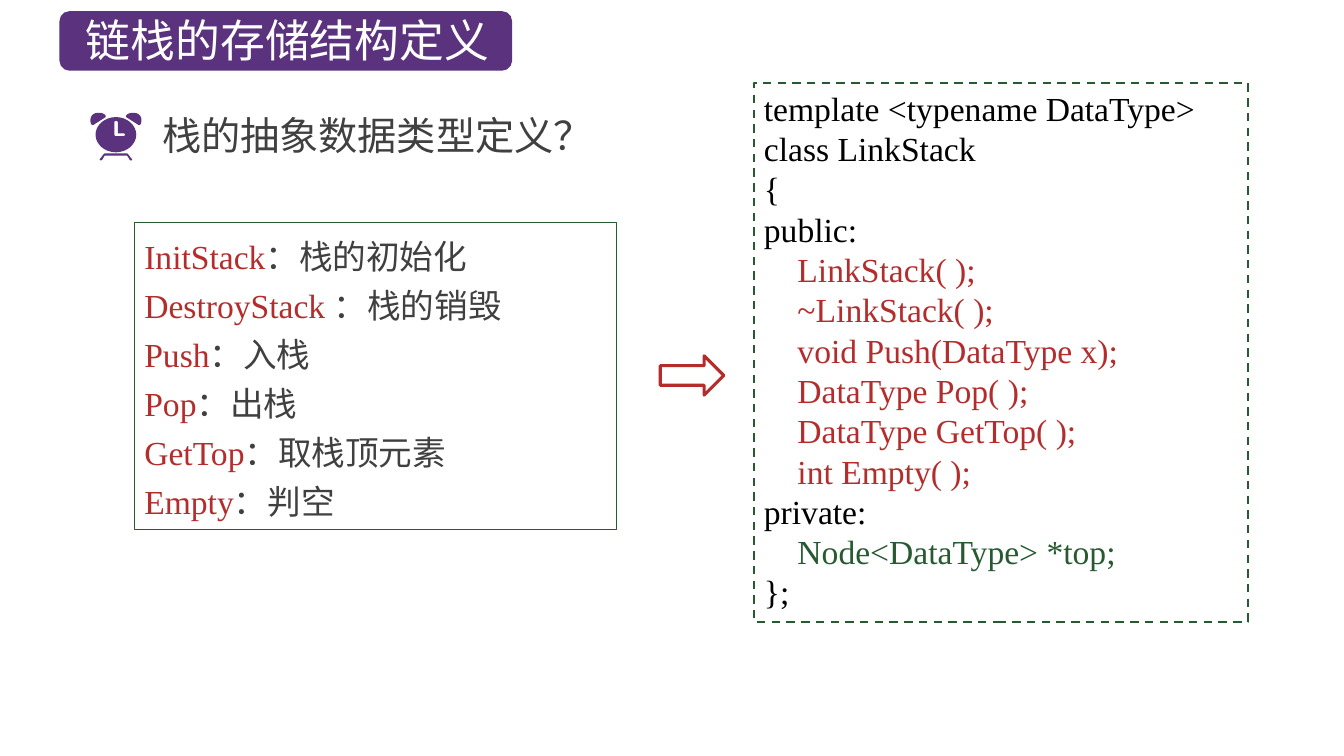
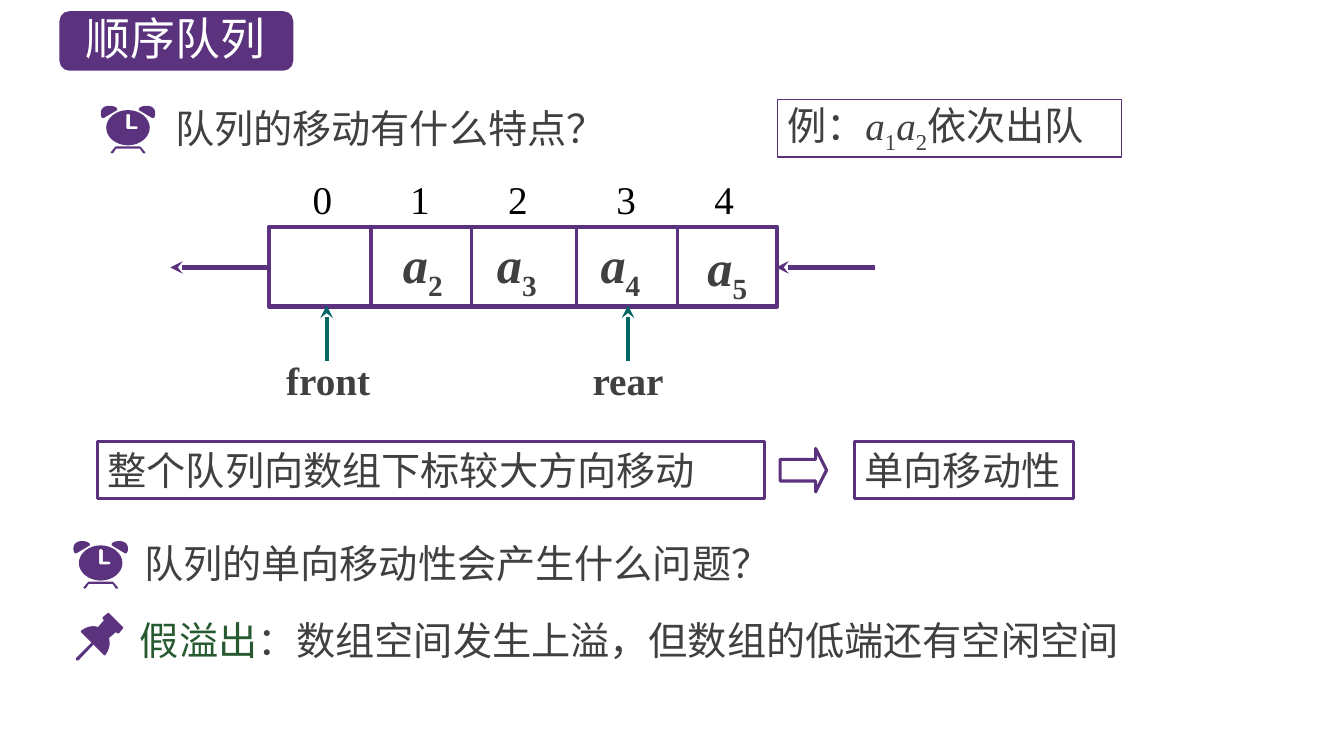
from dataclasses import dataclass

from lxml import etree
from pptx import Presentation
from pptx.dml.color import RGBColor
from pptx.enum.dml import MSO_LINE
from pptx.enum.shapes import MSO_CONNECTOR, MSO_SHAPE
from pptx.enum.text import MSO_ANCHOR, PP_ALIGN
from pptx.oxml.ns import qn
from pptx.util import Pt


@dataclass(frozen=True)
class Theme:
    purple = RGBColor(0x5A, 0x32, 0x7D)
    green = RGBColor(0x28, 0x5A, 0x32)
    teal = RGBColor(0x00, 0x66, 0x66)
    red = RGBColor(0xB4, 0x2D, 0x2D)
    grey = RGBColor(0x40, 0x40, 0x40)
    black = RGBColor(0, 0, 0)
    white = RGBColor(255, 255, 255)
    cjk = "Noto Sans CJK SC"
    serif = "Times New Roman"
    title = Pt(32)
    body = Pt(28)
    code = Pt(24)
    element = Pt(36)


theme = Theme()

# Text formats
title_text = {"size": theme.title, "name": theme.cjk, "color": theme.white}
body_text = {"size": theme.body, "name": theme.cjk, "color": theme.grey}
term_text = {**body_text, "color": theme.green}
code_text = {"size": theme.code, "name": theme.serif, "color": theme.black}
code_red = {**code_text, "color": theme.red}
code_green = {**code_text, "color": theme.green}
code_grey = {**code_text, "color": theme.grey}
index_text = {**code_text, "size": theme.body}
example_text = {**body_text, "name": theme.serif}
example_italic = {**example_text, "italic": True}
example_sub = {**example_text, "baseline": "-25000"}
pointer_text = {**example_text, "bold": True}
element_sub = {**pointer_text, "size": theme.element, "baseline": "-25000"}
element_text = {**pointer_text, "size": theme.element, "italic": True}

# Icon outlines on a 100 x 100 grid: pairs are corners, sixes are Bézier curves
left_bell = [(16, 0), (6, 0, 0, 6, 0, 15), (0, 19, 0, 23, 3, 25.5), (5, 26),
             (30, 9), (30, 6), (28, 2, 22, 0, 16, 0)]
right_bell = [tuple(100 - v if i % 2 == 0 else v for i, v in enumerate(step))
              for step in left_bell]
feet = [(82, 98), (74, 87), (72, 85), (28, 85), (26, 87), (18, 98), (20, 100),
        (23, 99), (28, 90), (72, 90), (78, 100), (81, 100)]
face = [(50, 9), (28, 9, 10, 26, 10, 46), (10, 66, 28, 83, 50, 83),
        (72, 83, 90, 66, 90, 46), (90, 26, 72, 9, 50, 9)]
hands = [(64, 49), (50, 49), (48, 49, 47, 47, 47, 46), (47, 21),
         (47, 18, 48, 17, 50, 17), (52, 17, 54, 18, 54, 21), (54, 43),
         (64, 43), (66, 43, 68, 44, 68, 46), (68, 48, 66, 49, 64, 49)]
clock = [[feet], [left_bell], [right_bell], [face, hands]]
pin_head = [(100, 30), (70, 0), (68, 0), (57, 9), (57, 13), (60, 15), (47, 30),
            (43, 28, 40, 28, 36, 28), (28, 28, 19, 32, 11, 38), (11, 40),
            (60, 89), (62, 89), (70, 79, 74, 66, 70, 53), (85, 40), (87, 43),
            (91, 43), (100, 32)]
pin_needle = [(4, 100), (2, 100), (0, 98, 0, 96, 2, 94), (34, 62),
              (36, 60, 38, 60, 38, 62), (40, 62, 40, 64, 38, 66), (6, 100)]
pin = [[pin_head], [pin_needle]]


def add_box(slide, box, paragraphs=(), kind=None, fill=None, line=None,
            dash=None, spacing=None, align=PP_ALIGN.LEFT):
    """Add a text box, or a preset shape when kind is given."""
    place = [Pt(v) for v in box]
    if kind is None:
        shape = slide.shapes.add_textbox(*place)
    else:
        shape = slide.shapes.add_shape(kind, *place)
        shape.shadow.inherit = False
        if fill is None:
            shape.fill.background()
        else:
            shape.fill.solid()
            shape.fill.fore_color.rgb = fill
        if line is None:
            shape.line.fill.background()
        else:
            shape.line.color.rgb, shape.line.width = line[0], Pt(line[1])
            shape.line.dash_style = dash
    frame = shape.text_frame
    several = len(paragraphs) > 1
    inset = Pt(3.6 if several else 0)
    frame_format = {
        "word_wrap": True, "margin_top": inset, "margin_bottom": inset,
        "vertical_anchor": MSO_ANCHOR.TOP if several else MSO_ANCHOR.MIDDLE,
    }
    for key, value in frame_format.items():
        setattr(frame, key, value)
    for number, runs in enumerate(paragraphs):
        paragraph = frame.add_paragraph() if number else frame.paragraphs[0]
        paragraph.alignment = align
        paragraph.line_spacing = spacing
        for text, text_format in runs:
            run = paragraph.add_run()
            run.text = text
            properties = run._r.get_or_add_rPr()
            for key, value in text_format.items():
                if key == "color":
                    run.font.color.rgb = value
                elif key == "baseline":
                    properties.set(key, value)
                else:
                    setattr(run.font, key, value)
            etree.SubElement(properties, qn("a:ea"), typeface=theme.cjk)
    return shape


def add_icon(slide, pieces, left, top, width, height):
    """Draw each piece as one freeform; further contours cut holes."""
    for contours in pieces:
        builder = None
        for steps in contours:
            points = [steps[0]]
            for step in steps[1:]:
                if len(step) == 2:
                    points.append(step)
                    continue
                x0, y0 = points[-1]
                x1, y1, x2, y2, x3, y3 = step
                for t in (n / 8 for n in range(1, 9)):
                    weights = ((1 - t) ** 3, 3 * t * (1 - t) ** 2,
                               3 * t * t * (1 - t), t ** 3)
                    points.append((
                        sum(w * x for w, x in zip(weights, (x0, x1, x2, x3))),
                        sum(w * y for w, y in zip(weights, (y0, y1, y2, y3)))))
            placed = [(Pt(left + x * width / 100), Pt(top + y * height / 100))
                      for x, y in points]
            if builder is None:
                builder = slide.shapes.build_freeform(*placed[0])
            else:
                builder.move_to(*placed[0])
            builder.add_line_segments(placed[1:], close=True)
        shape = builder.convert_to_shape()
        shape.shadow.inherit = False
        shape.fill.solid()
        shape.fill.fore_color.rgb = theme.purple
        shape.line.fill.background()


deck = Presentation()
deck.slide_width, deck.slide_height = Pt(960), Pt(540)
stack_slide, queue_slide = [
    deck.slides.add_slide(deck.slide_layouts[6]) for _ in range(2)]

# Title bands
for slide, title, band_width, text_box in (
        (stack_slide, "链栈的存储结构定义", 323.3, (52.5, 5, 306, 46)),
        (queue_slide, "顺序队列", 167, (51, 3.6, 149, 46))):
    add_box(slide, (42.5, 8, band_width, 42.5),
            kind=MSO_SHAPE.ROUNDED_RECTANGLE, fill=theme.purple)
    add_box(slide, text_box, [[(title, title_text)]], align=PP_ALIGN.CENTER)

# Questions and the conclusion, each with its icon
for slide, icon, icon_box, text_box, runs in (
        (stack_slide, clock, (64.6, 80.6, 36.4, 34), (108.7, 75.6, 348, 41),
         [("栈的抽象数据类型定义？", body_text)]),
        (queue_slide, clock, (72, 75.6, 38.9, 34), (118, 70.6, 332, 41),
         [("队列的移动有什么特点？", body_text)]),
        (queue_slide, clock, (52.5, 386.5, 38.9, 34), (95.8, 381.6, 496, 41),
         [("队列的单向移动性会产生什么问题？", body_text)]),
        (queue_slide, pin, (54, 437.8, 34, 34), (92.9, 435.6, 764, 42.5),
         [("假溢出", term_text),
          ("：数组空间发生上溢，但数组的低端还有空闲空间", body_text)])):
    add_icon(slide, icon, *icon_box)
    add_box(slide, text_box, [runs])

# Stack: operations
operations = (("InitStack", "：栈的初始化"), ("DestroyStack ", "：栈的销毁"),
              ("Push", "：入栈"), ("Pop", "：出栈"),
              ("GetTop", "：取栈顶元素"), ("Empty", "：判空"))
add_box(stack_slide, (96, 159, 344.3, 219.5),
        [[(name, code_red), (meaning, code_grey)]
         for name, meaning in operations],
        kind=MSO_SHAPE.RECTANGLE, line=(theme.green, 0.75), spacing=Pt(35))
add_box(stack_slide, (471.6, 254.2, 45.4, 28), kind=MSO_SHAPE.RIGHT_ARROW,
        line=(theme.red, 2.25))

# Stack: class declaration
declaration = (
    ("template <typename DataType>", code_text),
    ("class LinkStack", code_text),
    ("{", code_text),
    ("public:", code_text),
    ("    LinkStack( );", code_red),
    ("    ~LinkStack( );", code_red),
    ("    void Push(DataType x);", code_red),
    ("    DataType Pop( );", code_red),
    ("    DataType GetTop( );", code_red),
    ("    int Empty( );", code_red),
    ("private:", code_text),
    ("    Node<DataType> *top;", code_green),
    ("};", code_text),
)
add_box(stack_slide, (538.6, 59, 352.8, 385.2), [[line] for line in declaration],
        kind=MSO_SHAPE.RECTANGLE, line=(theme.green, 1.5),
        dash=MSO_LINE.DASH, spacing=Pt(28.8))

# Queue: example
add_box(queue_slide, (555.1, 71.2, 246.2, 41),
        [[("例：", example_text), ("a", example_italic), ("1", example_sub),
          ("a", example_italic), ("2", example_sub),
          ("依次出队", example_text)]],
        kind=MSO_SHAPE.RECTANGLE, line=(theme.purple, 0.75))

# Queue: array frame, indexes and elements
array_left, array_top, array_width, array_height = 192.2, 162, 363, 57
add_box(queue_slide, (array_left, array_top, array_width, array_height),
        kind=MSO_SHAPE.RECTANGLE, line=(theme.purple, 3))
for index, centre in enumerate((230.3, 300, 370, 447.2, 517.2)):
    add_box(queue_slide, (centre - 20, 121.5, 40, 41),
            [[(str(index), index_text)]], align=PP_ALIGN.CENTER)
for number, left, top in ((2, 280.8, 166), (3, 347.8, 166),
                          (4, 421.9, 166), (5, 498.2, 168)):
    add_box(queue_slide, (left, top, 50, 50.4),
            [[("a", element_text), (str(number), element_sub)]])

# Queue: cell dividers, movement arrows and pointers
array_bottom = array_top + array_height
lines = [(x, array_top, x, array_bottom, theme.purple, 2.25, False)
         for x in (265, 337, 411.8, 483.8)]
lines += [(x, 191, x - 70.6, 191, theme.purple, 3, True)
          for x in (625, array_left)]
for pointer, x, label_left in (("front", 233.3, 197.3), ("rear", 448.6, 416.2)):
    lines.append((x, 257.8, x, 218.2, theme.teal, 3, True))
    add_box(queue_slide, (label_left, 251, 81.4, 41),
            [[(pointer, pointer_text)]])
for x1, y1, x2, y2, color, weight, arrow in lines:
    connector = queue_slide.shapes.add_connector(
        MSO_CONNECTOR.STRAIGHT, Pt(x1), Pt(y1), Pt(x2), Pt(y2))
    connector.line.color.rgb = color
    connector.line.width = Pt(weight)
    properties = connector._element.spPr
    if arrow:
        etree.SubElement(properties.find(qn("a:ln")), qn("a:tailEnd"),
                         type="stealth")
    etree.SubElement(properties, qn("a:effectLst"))

# Queue: observation leads to its name
for left, width, text in ((69.8, 476.6, "整个队列向数组下标较大方向移动"),
                          (610.6, 156.2, "单向移动性")):
    add_box(queue_slide, (left, 315.4, width, 41), [[(text, body_text)]],
            kind=MSO_SHAPE.RECTANGLE, line=(theme.purple, 2.25))
leads_to = add_box(queue_slide, (557.3, 320.4, 33.1, 31),
                   kind=MSO_SHAPE.RIGHT_ARROW, line=(theme.purple, 2.25))
leads_to.adjustments[1] = 0.25

deck.save("out.pptx")
